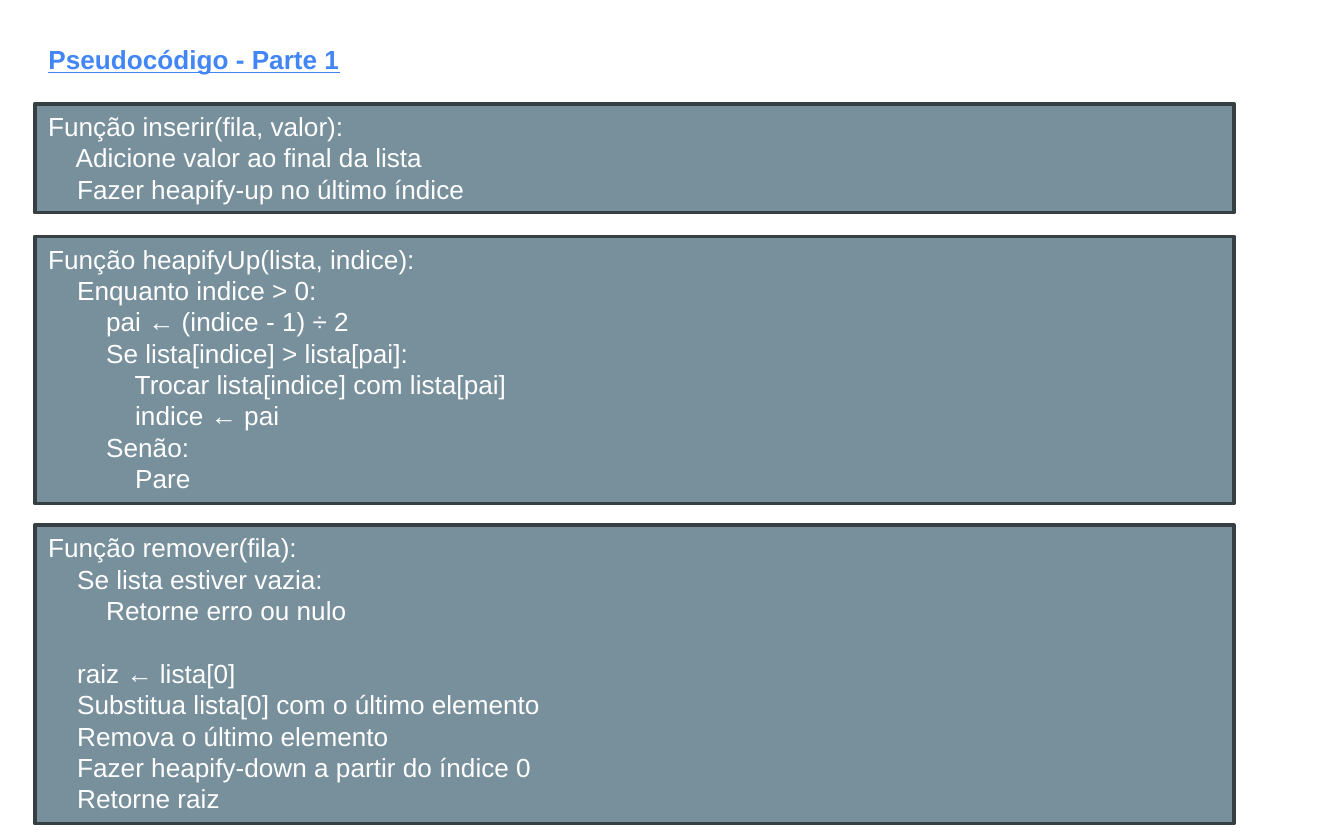
"""Build a slide with the pseudocode of a priority queue."""
from dataclasses import dataclass

from pptx import Presentation
from pptx.dml.color import RGBColor
from pptx.enum.shapes import MSO_SHAPE
from pptx.enum.text import MSO_ANCHOR, MSO_AUTO_SIZE, PP_ALIGN
from pptx.util import Cm, Pt


@dataclass(frozen=True)
class Theme:
    """Hold the colours and type sizes of the deck."""
    accent: RGBColor = RGBColor(0x42, 0x85, 0xF4)
    panel: RGBColor = RGBColor(0x78, 0x90, 0x9C)
    border: RGBColor = RGBColor(0x35, 0x3F, 0x44)
    code: RGBColor = RGBColor(0xFF, 0xFF, 0xFF)
    face: str = "Arial"
    size: Pt = Pt(14)
    leading: Pt = Pt(16.8)
    border_width: Pt = Pt(2)


THEME = Theme()
LEFT = Cm(0.66)
PANEL_WIDTH = Cm(22.66)

INSERT = """\
Função inserir(fila, valor):
    Adicione valor ao final da lista
    Fazer heapify-up no último índice"""

HEAPIFY_UP = """\
Função heapifyUp(lista, indice):
    Enquanto indice > 0:
        pai ← (indice - 1) ÷ 2
        Se lista[indice] > lista[pai]:
            Trocar lista[indice] com lista[pai]
            indice ← pai
        Senão:
            Pare"""

REMOVE = """\
Função remover(fila):
    Se lista estiver vazia:
        Retorne erro ou nulo

    raiz ← lista[0]
    Substitua lista[0] com o último elemento
    Remova o último elemento
    Fazer heapify-down a partir do índice 0
    Retorne raiz"""

PANELS = [
    (Cm(1.96), Cm(2.06), INSERT),
    (Cm(4.47), Cm(5.05), HEAPIFY_UP),
    (Cm(9.93), Cm(5.64), REMOVE),
]


def apply_format(target, values):
    """Set each named attribute of the target."""
    for name, value in values.items():
        setattr(target, name, value)


def prepare_frame(frame):
    """Make a text frame wrap, start at the top and keep its size."""
    apply_format(frame, {
        "word_wrap": True,
        "auto_size": MSO_AUTO_SIZE.NONE,
        "vertical_anchor": MSO_ANCHOR.TOP,
    })


def write_line(para, text, color, gap=Pt(0), **font_values):
    """Write one left-aligned line into a paragraph."""
    apply_format(para, {
        "alignment": PP_ALIGN.LEFT,
        "line_spacing": THEME.leading,
        "space_before": gap,
    })
    span = para.add_run()
    span.text = text
    span.font.color.rgb = color
    apply_format(span.font, {"name": THEME.face, "size": THEME.size, **font_values})


def add_title(page, text):
    """Place the underlined heading in the title placeholder."""
    title = page.shapes.title
    apply_format(title, {
        "left": LEFT, "top": Cm(0.69), "width": Cm(20.12), "height": Cm(0.86),
    })
    prepare_frame(title.text_frame)
    write_line(title.text_frame.paragraphs[0], text, THEME.accent,
               bold=True, underline=True)


def add_code_panel(page, top, height, code):
    """Add a bordered panel, with a line of space between code groups."""
    box = page.shapes.add_shape(MSO_SHAPE.RECTANGLE, LEFT, top, PANEL_WIDTH, height)
    box.shadow.inherit = False
    box.fill.solid()
    box.fill.fore_color.rgb = THEME.panel
    box.line.color.rgb = THEME.border
    box.line.width = THEME.border_width
    frame = box.text_frame
    prepare_frame(frame)
    para = frame.paragraphs[0]
    for group_index, group in enumerate(code.split("\n\n")):
        for line_index, line in enumerate(group.split("\n")):
            if group_index or line_index:
                para = frame.add_paragraph()
            starts_group = group_index > 0 and line_index == 0
            write_line(para, line, THEME.code,
                       gap=THEME.leading if starts_group else Pt(0))


def main():
    """Build and save the deck."""
    deck = Presentation()
    apply_format(deck, {"slide_width": Cm(25.4), "slide_height": Cm(15.88)})
    page = deck.slides.add_slide(deck.slide_layouts.get_by_name("Title Only"))
    add_title(page, "Pseudocódigo - Parte 1")
    for top, height, code in PANELS:
        add_code_panel(page, top, height, code)
    deck.save("out.pptx")


if __name__ == "__main__":
    main()
